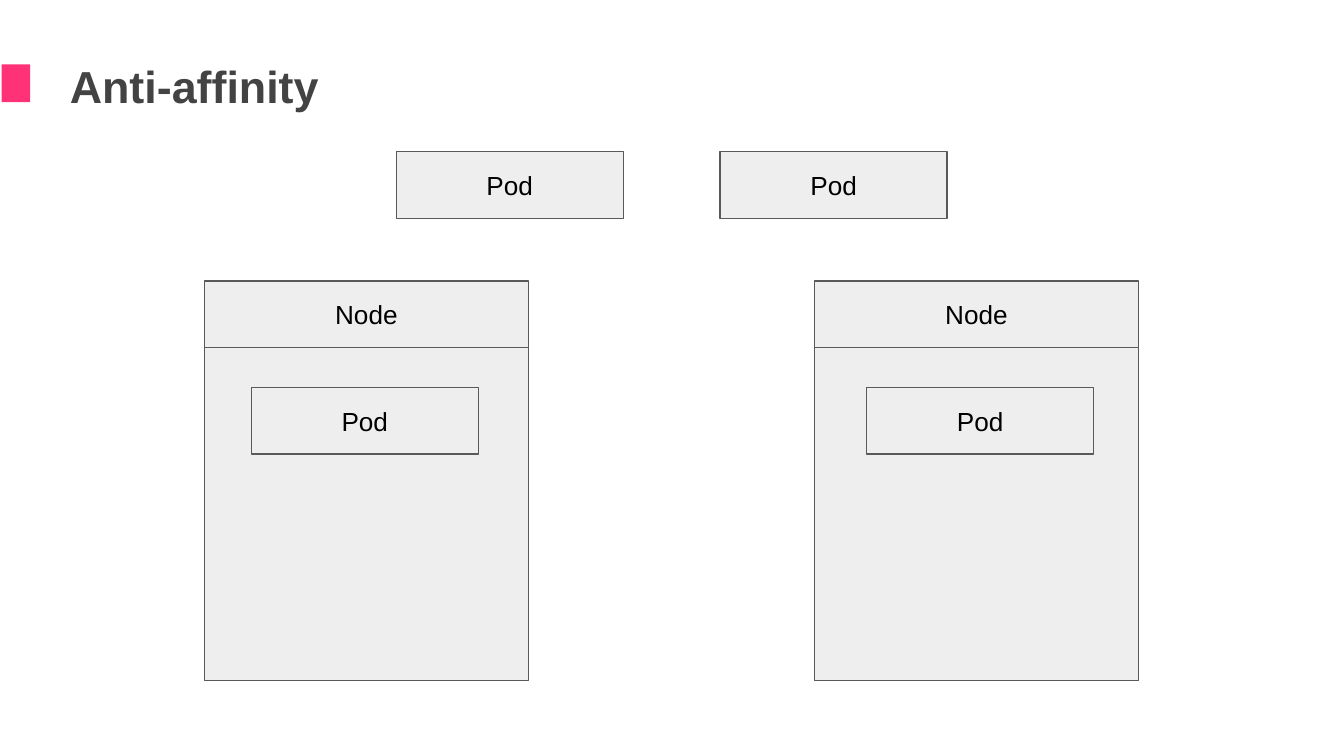
from pptx import Presentation
from pptx.dml.color import RGBColor
from pptx.enum.shapes import MSO_SHAPE
from pptx.enum.text import MSO_ANCHOR, PP_ALIGN
from pptx.util import Cm, Pt

TITLE = "Anti-affinity"
FONT = "Arial"
COLORS = {"title": "434343", "accent": "FF3278", "box": "EEEEEE",
          "line": "595959", "text": "000000"}

NODES = [("Node", 3.86), ("Node", 15.39)]
PODS = [("Pod", 7.49, 2.87), ("Pod", 13.61, 2.87),
        ("Pod", 4.75, 7.32), ("Pod", 16.38, 7.32)]
NODE_TOP, NODE_W, BODY_H = 5.31, 6.13, 6.3
POD_W, LABEL_H = 4.29, 1.26
INSET = 0.25


def rgb(name):
    return RGBColor.from_string(COLORS[name])


def add_text(sp, text, size, color, bold=False):
    tf = sp.text_frame
    tf.word_wrap = True
    tf.margin_left = tf.margin_right = Cm(INSET)
    tf.margin_top = tf.margin_bottom = Cm(INSET)
    p = tf.paragraphs[0]
    r = p.add_run()
    r.text = text
    r.font.name = FONT
    r.font.size = Pt(size)
    r.font.bold = bold
    r.font.color.rgb = rgb(color)
    return tf, p


def add_rect(shapes, x, y, w, h, fill, line=None, text=None):
    sp = shapes.add_shape(MSO_SHAPE.RECTANGLE, Cm(x), Cm(y), Cm(w), Cm(h))
    sp.shadow.inherit = False
    sp.fill.solid()
    sp.fill.fore_color.rgb = rgb(fill)
    if line:
        sp.line.color.rgb = rgb(line)
        sp.line.width = Pt(0.75)
    else:
        sp.line.fill.background()
    if text:
        tf, p = add_text(sp, text, 14, "text")
        tf.vertical_anchor = MSO_ANCHOR.MIDDLE
        p.alignment = PP_ALIGN.CENTER


prs = Presentation()
prs.slide_width, prs.slide_height = Cm(25.4), Cm(14.29)
s = prs.slides.add_slide(prs.slide_layouts[6])

title = s.shapes.add_textbox(Cm(1.07), Cm(0.86), Cm(8.2), Cm(1.3))
add_text(title, TITLE, 24, "title", bold=True)
add_rect(s.shapes, 0.03, 1.22, 0.54, 0.71, "accent")

for label, x in NODES:
    node = s.shapes.add_group_shape()
    add_rect(node.shapes, x, NODE_TOP, NODE_W, LABEL_H, "box", "line", label)
    add_rect(node.shapes, x, NODE_TOP + LABEL_H, NODE_W, BODY_H, "box", "line")

for label, x, y in PODS:
    add_rect(s.shapes, x, y, POD_W, LABEL_H, "box", "line", label)

prs.save("out.pptx")
